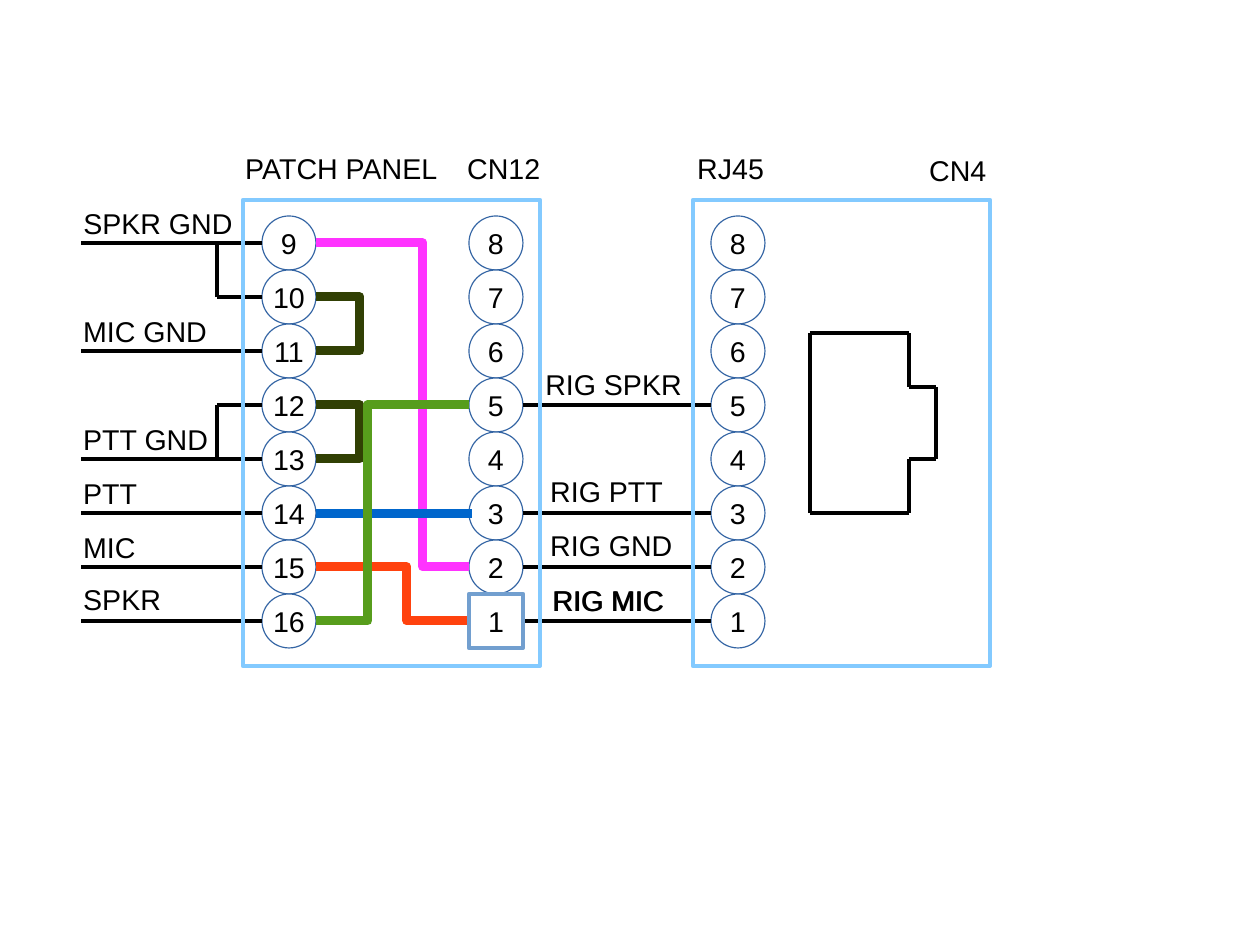
from lxml.etree import SubElement
from pptx import Presentation
from pptx.dml.color import RGBColor
from pptx.enum.shapes import MSO_CONNECTOR as Route, MSO_SHAPE as Preset
from pptx.enum.text import MSO_ANCHOR, MSO_AUTO_SIZE, PP_ALIGN
from pptx.oxml.ns import qn
from pptx.util import Emu, Pt

BLACK = RGBColor(0x00, 0x00, 0x00)
WHITE = RGBColor(0xFF, 0xFF, 0xFF)
PIN_EDGE = RGBColor(0x34, 0x65, 0xA4)
SQUARE_EDGE = RGBColor(0x72, 0x9F, 0xCF)
PANEL_EDGE = RGBColor(0x83, 0xCA, 0xFF)
OLIVE = RGBColor(0x31, 0x40, 0x04)
MAGENTA = RGBColor(0xFF, 0x33, 0xFF)
BLUE = RGBColor(0x00, 0x66, 0xCC)
ORANGE = RGBColor(0xFF, 0x42, 0x0E)
GREEN = RGBColor(0x57, 0x9D, 0x1C)

PIN = 54
FIRST_ROW = 243
PATCH_LEFT, CN12_LEFT, RJ45_LEFT = 262, 469, 711
PATCH_RIGHT, CN12_RIGHT = PATCH_LEFT + PIN, CN12_LEFT + PIN
CABLE_START, BRANCH, BRIDGE = 81, 217, 360
THIN, THICK = 2.83, 5.67

LABELS = [
    ("SPKR GND", 72, 200, 177),
    ("MIC GND", 72, 308, 152),
    ("PTT GND", 72, 416, 153),
    ("PTT", 72, 470, 83),
    ("MIC", 72, 524, 81),
    ("SPKR", 72, 576, 107),
    ("RIG SPKR", 534, 361, 165),
    ("RIG PTT", 539, 468, 142),
    ("RIG GND", 539, 522, 151),
    ("RIG MIC", 541, 577, 140),
    ("RIG MIC", 542, 577, 140),
    ("PATCH PANEL", 234, 145, 221),
    ("CN12", 456, 145, 102),
    ("RJ45", 686, 145, 95),
    ("CN4", 918, 147, 86),
]
PLUG = [(810, 333), (909, 333), (909, 387), (936, 387),
        (936, 459), (909, 459), (909, 513), (810, 513)]
JUMPERS = [
    (0, 6, 423, MAGENTA),
    (6, 7, 407, ORANGE),
    (7, 3, 368, GREEN),
]


def px(length):
    return Emu(length * 8000)


def row_y(row):
    return FIRST_ROW + PIN * row


def write(frame, text, align):
    frame.word_wrap = False
    para = frame.paragraphs[0]
    para.text = text
    para.alignment = align
    para.font.name = "Arial"
    para.font.size = Pt(18)
    para.font.color.rgb = BLACK


def add_block(page, preset, left, top, width, height, edge, weight, fill=None):
    block = page.shapes.add_shape(preset, px(left), px(top), px(width), px(height))
    block.shadow.inherit = False
    if fill is None:
        block.fill.background()
    else:
        block.fill.solid()
        block.fill.fore_color.rgb = fill
    block.line.color.rgb = edge
    block.line.width = Pt(weight)
    return block


def add_pin(page, number, left, row, preset=Preset.OVAL, edge=PIN_EDGE, weight=0, fill=WHITE):
    pin = add_block(page, preset, left, row_y(row) - PIN // 2, PIN, PIN, edge, weight, fill)
    pin.text_frame.vertical_anchor = MSO_ANCHOR.MIDDLE
    write(pin.text_frame, str(number), PP_ALIGN.CENTER)
    return pin


def add_label(page, text, left, top, width):
    box = page.shapes.add_textbox(px(left), px(top), px(width), px(43))
    write(box.text_frame, text, PP_ALIGN.LEFT)
    box.text_frame.auto_size = MSO_AUTO_SIZE.NONE


def add_wire(holder, start, end, color=BLACK, weight=THIN, route=Route.STRAIGHT):
    wire = holder.shapes.add_connector(route, *map(px, start + end))
    wire.line.color.rgb = color
    wire.line.width = Pt(weight)
    SubElement(wire._element.spPr, qn("a:effectLst"))
    return wire


def add_jumper(page, from_row, to_row, bend, color):
    wire = add_wire(page, (PATCH_RIGHT, row_y(from_row)), (CN12_LEFT, row_y(to_row)),
                    color, THICK, Route.ELBOW)
    share = round((bend - PATCH_RIGHT) / (CN12_LEFT - PATCH_RIGHT) * 100000)
    guides = wire._element.spPr.find(qn("a:prstGeom")).get_or_add_avLst()
    SubElement(guides, qn("a:gd"), name="adj1", fmla=f"val {share}")


def add_bridge(page, row):
    top, bottom = row_y(row), row_y(row + 1)
    builder = page.shapes.build_freeform(PATCH_RIGHT, top, scale=px(1))
    builder.add_line_segments([(BRIDGE, top), (BRIDGE, bottom), (PATCH_RIGHT, bottom)], close=False)
    bridge = builder.convert_to_shape()
    bridge.shadow.inherit = False
    bridge.fill.background()
    bridge.line.color.rgb = OLIVE
    bridge.line.width = Pt(THICK)


def add_plug(page):
    group = page.shapes.add_group_shape()
    for start, end in zip(PLUG, PLUG[1:] + PLUG[:1]):
        add_wire(group, start, end)


def main():
    deck = Presentation()
    deck.slide_width, deck.slide_height = px(1260), px(945)
    page = deck.slides.add_slide(deck.slide_layouts[6])

    for row in range(8):
        add_pin(page, 9 + row, PATCH_LEFT, row)
        add_pin(page, 8 - row, RJ45_LEFT, row)
        if row < 7:
            add_pin(page, 8 - row, CN12_LEFT, row)

    for row in (0, 2, 4, 5, 6, 7):
        add_wire(page, (CABLE_START, row_y(row)), (PATCH_LEFT, row_y(row)))
    for branch_row, cable_row in ((1, 0), (3, 4)):
        add_wire(page, (BRANCH, row_y(branch_row)), (PATCH_LEFT, row_y(branch_row)))
        add_wire(page, (BRANCH, row_y(branch_row)), (BRANCH, row_y(cable_row)))

    for row in (1, 3):
        add_bridge(page, row)
    add_jumper(page, *JUMPERS[0])
    add_wire(page, (PATCH_RIGHT, row_y(5)), (CN12_LEFT + 3, row_y(5)), BLUE, THICK)
    for jumper in JUMPERS[1:]:
        add_jumper(page, *jumper)

    add_plug(page)
    rig_wires = {row: add_wire(page, (CN12_RIGHT, row_y(row)), (RJ45_LEFT, row_y(row)))
                 for row in (3, 5, 6, 7)}
    for panel_left in (243, 693):
        add_block(page, Preset.RECTANGLE, panel_left, 200, 297, 466, PANEL_EDGE, THIN)
    for label in LABELS:
        add_label(page, *label)
    first_pin = add_pin(page, 1, CN12_LEFT, 7, Preset.RECTANGLE, SQUARE_EDGE, THIN, None)
    rig_wires[7].begin_connect(first_pin, 3)

    deck.save("out.pptx")


if __name__ == "__main__":
    main()
